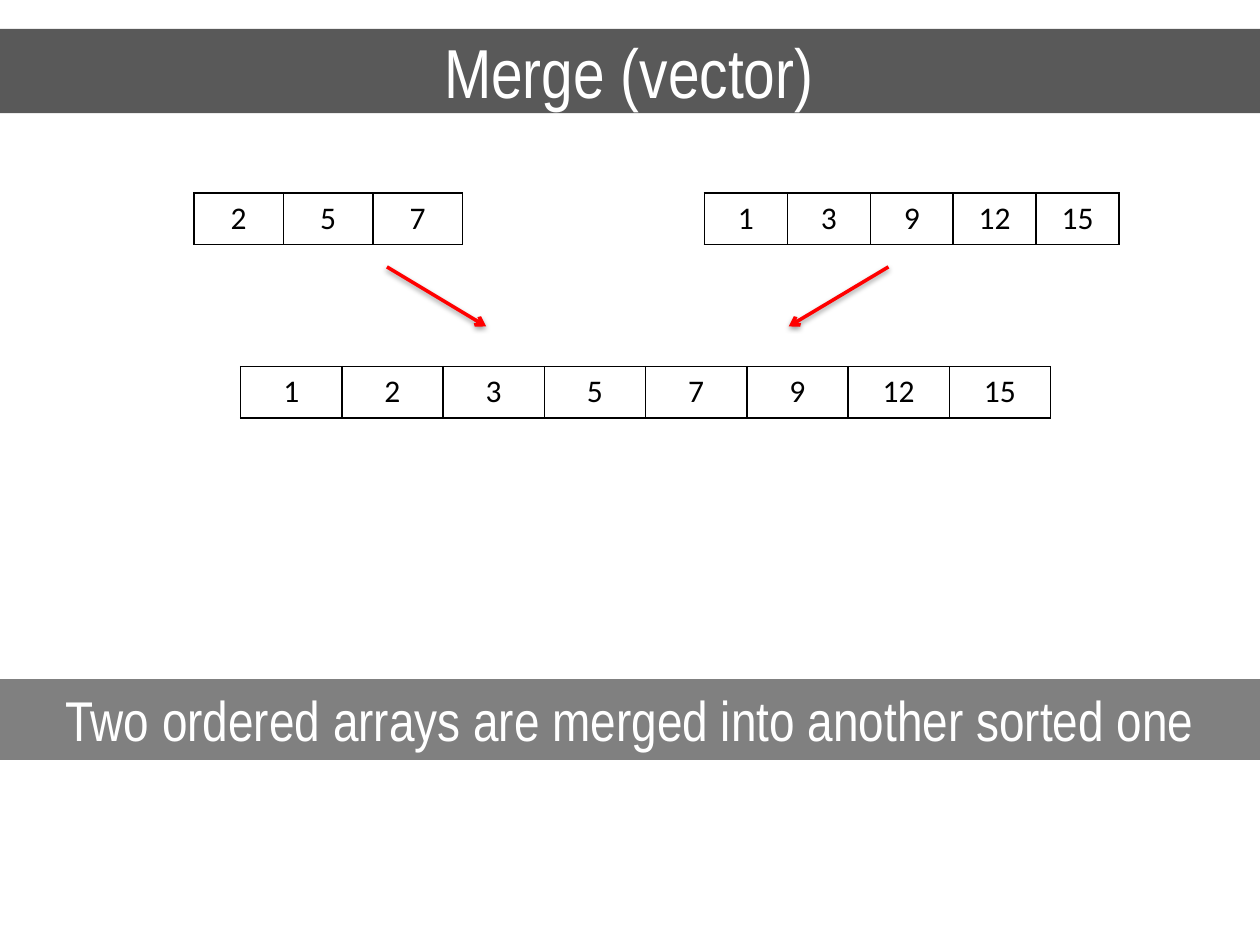
from lxml import etree
from pptx import Presentation
from pptx.dml.color import RGBColor
from pptx.enum.shapes import MSO_CONNECTOR, MSO_SHAPE
from pptx.enum.text import MSO_ANCHOR, MSO_AUTO_SIZE, PP_ALIGN
from pptx.oxml import parse_xml
from pptx.oxml.ns import nsdecls, qn
from pptx.util import Cm, Pt

CENTER = PP_ALIGN.CENTER
MIDDLE, TOP = MSO_ANCHOR.MIDDLE, MSO_ANCHOR.TOP
NO_AUTOFIT = MSO_AUTO_SIZE.NONE
RECTANGLE = MSO_SHAPE.RECTANGLE
STRAIGHT = MSO_CONNECTOR.STRAIGHT

SLIDE_WIDTH, SLIDE_HEIGHT = 25.4, 19.05
ROW_HEIGHT = 1.04
INPUT_TOP, MERGED_TOP = 3.89, 7.39
ARROW_TOP, ARROW_BOTTOM = 5.38, 6.58


def color(hex_code):
    return RGBColor.from_string(hex_code)


def write(frame, text, size, font="Arial Narrow", fill="FFFFFF", anchor=TOP):
    frame.word_wrap = True
    frame.vertical_anchor = anchor
    paragraph = frame.paragraphs[0]
    paragraph.alignment = CENTER
    paragraph.line_spacing = 1.0
    paragraph.space_before = Pt(0)
    run = paragraph.add_run()
    run.text = text
    run.font.size = Pt(size)
    run.font.name = font
    run.font.color.rgb = color(fill)


def add_title(slide, box, text):
    title = slide.shapes.title
    title.left, title.top, title.width, title.height = map(Cm, box)
    title.fill.solid()
    title.fill.fore_color.rgb = color("595959")
    title.text_frame.auto_size = NO_AUTOFIT
    write(title.text_frame, text, 39.6, anchor=MIDDLE)


def add_caption(slide, box, text):
    band = slide.shapes.add_shape(RECTANGLE, *map(Cm, box))
    band.shadow.inherit = False
    band.fill.solid()
    band.fill.fore_color.rgb = color("808080")
    band.line.fill.background()
    write(band.text_frame, text, 32)


def add_borders(cell):
    properties = cell._tc.get_or_add_tcPr()
    for index, side in enumerate("LRTB"):
        properties.insert(index, parse_xml(
            f'<a:ln{side} {nsdecls("a")} w="12700"><a:solidFill>'
            f'<a:srgbClr val="000000"/></a:solidFill></a:ln{side}>'))


def add_array(slide, box, values):
    """Draw a vector as a one-row table with equal cells."""
    left, top, width, height = map(Cm, box)
    table = slide.shapes.add_table(1, len(values), left, top, width, height).table
    table.first_row = table.horz_banding = False
    for column, value in enumerate(values):
        table.columns[column].width = width // len(values)
        cell = table.cell(0, column)
        cell.fill.background()
        add_borders(cell)
        write(cell.text_frame, str(value), 18, font="Calibri", fill="000000")


def add_arrow(slide, start_x, end_x):
    arrow = slide.shapes.add_connector(
        STRAIGHT, Cm(start_x), Cm(ARROW_TOP), Cm(end_x), Cm(ARROW_BOTTOM))
    arrow.line.color.rgb = color("FF0000")
    arrow.line.width = Pt(2)
    etree.SubElement(arrow.line._get_or_add_ln(), qn("a:tailEnd"), type="arrow")
    # Soft shadow straight below the line
    arrow._element.spPr.append(parse_xml(
        f'<a:effectLst {nsdecls("a")}><a:outerShdw blurRad="40000" dist="20000" '
        'dir="5400000" rotWithShape="0"><a:srgbClr val="000000">'
        '<a:alpha val="38000"/></a:srgbClr></a:outerShdw></a:effectLst>'))


def add_merge_diagram(slide):
    first, second = [2, 5, 7], [1, 3, 9, 12, 15]
    # Ordered inputs
    add_array(slide, (3.91, INPUT_TOP, 5.41, ROW_HEIGHT), first)
    add_array(slide, (14.2, INPUT_TOP, 8.36, ROW_HEIGHT), second)
    # Merged result
    add_array(slide, (4.85, MERGED_TOP, 16.33, ROW_HEIGHT), sorted(first + second))
    # Inputs flow into the result
    add_arrow(slide, 7.8, 9.8)
    add_arrow(slide, 17.91, 15.9)


def main():
    presentation = Presentation()
    presentation.slide_width = Cm(SLIDE_WIDTH)
    presentation.slide_height = Cm(SLIDE_HEIGHT)
    slide = presentation.slides.add_slide(presentation.slide_layouts[0])
    subtitle = slide.placeholders[1]._element
    subtitle.getparent().remove(subtitle)

    add_title(slide, (-0.05, 0.58, 25.45, 1.7), "Merge (vector)")
    add_merge_diagram(slide)
    add_caption(slide, (0, 13.69, SLIDE_WIDTH, 1.63),
                "Two ordered arrays are merged into another sorted one")
    presentation.save("out.pptx")


if __name__ == "__main__":
    main()
